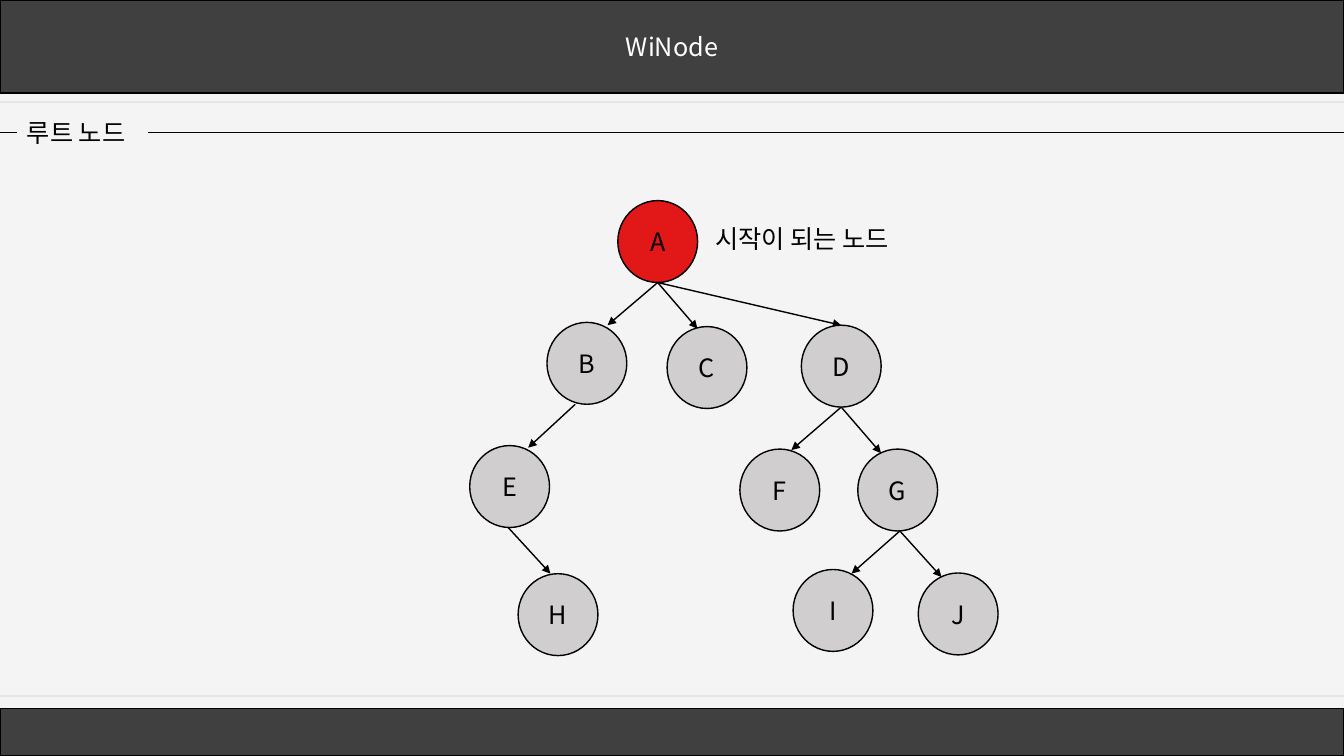
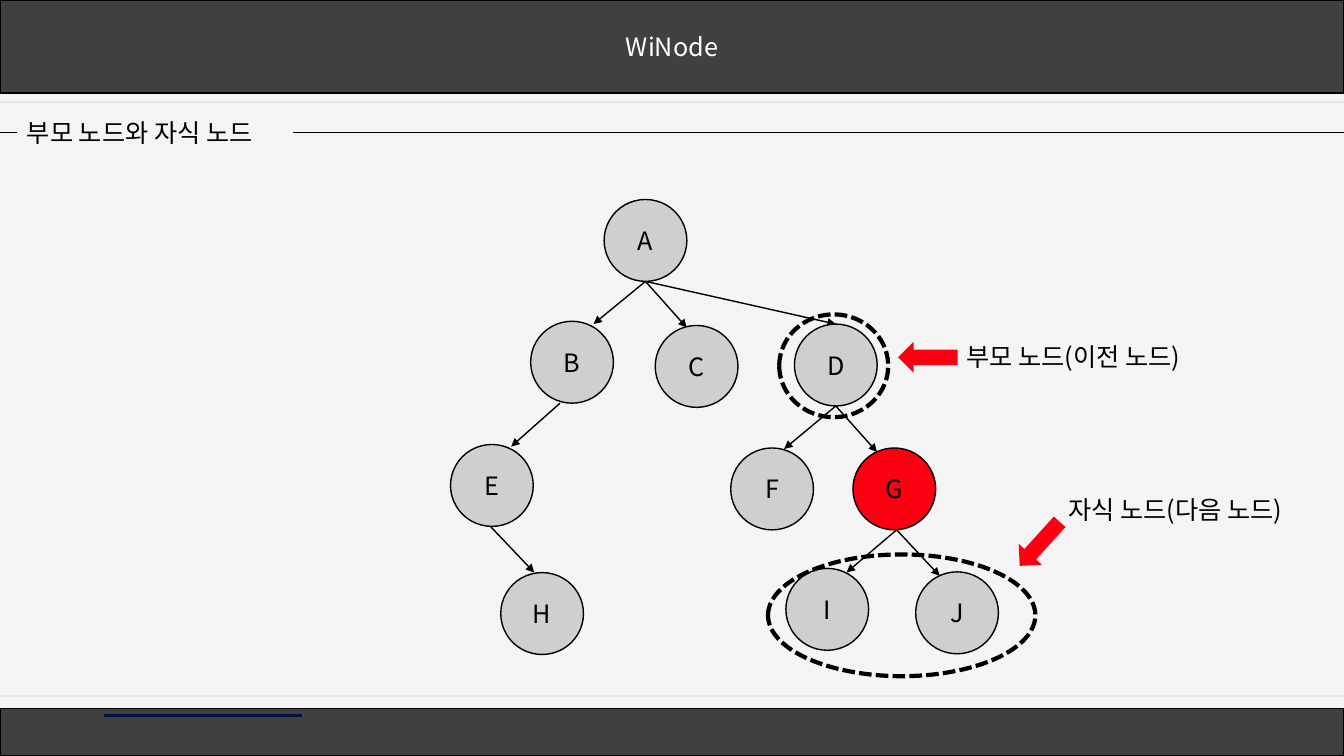
from dataclasses import dataclass

from lxml.etree import SubElement
from pptx import Presentation
from pptx.dml.color import RGBColor
from pptx.enum.dml import MSO_LINE
from pptx.enum.shapes import MSO_CONNECTOR, MSO_SHAPE
from pptx.enum.text import MSO_ANCHOR, MSO_AUTO_SIZE, PP_ALIGN
from pptx.oxml.ns import qn
from pptx.util import Pt


@dataclass(frozen=True)
class Theme:
    """Colours, type and line widths shared by the slides."""
    page: str = "F4F4F4"
    band: str = "404040"
    rule: str = "E7E6E6"
    ink: str = "000000"
    band_text: str = "FFFFFF"
    node: str = "D0CECE"
    root: str = "E21818"
    accent: str = "FB0010"
    footer_mark: str = "001545"
    font: str = "Noto Sans CJK KR"
    text_size: float = 18
    hairline: float = 0.5
    outline: float = 1
    rule_width: float = 1.5
    mark_width: float = 2
    ring_width: float = 3


THEME = Theme()
WIDTH, HEIGHT = 960, 540
HEADER_HEIGHT, FOOTER_TOP = 66.4, 506.2
HEADING_LEFT, HEADING_TOP, HEADING_RULE = 12.2, 79.9, 94.3
TEXT_HEIGHT = 29
NODE_WIDTH, NODE_HEIGHT = 57, 58.5

NODES = {
    "A": (105.8, 0), "B": (55.2, 87), "C": (141, 90), "D": (236.9, 89),
    "E": (0, 175), "F": (193, 177.5), "G": (277.2, 177.5),
    "H": (34.6, 266.5), "I": (231, 263.5), "J": (320.4, 266),
}
EDGES = [
    ("A", "B", 0, 14.8, 2), ("A", "C", 0, -6.8, 1.5), ("A", "D", 0, 0, 0),
    ("B", "E", -8.3, 13.3, 1.5), ("E", "H", -1, -5.4, 0),
    ("D", "F", 0, 8.3, 0.7), ("D", "G", 0, -11.9, 2.9),
    ("G", "I", 1.6, 13.3, 2.9), ("G", "J", 1.6, -11.9, 2.9),
]


def rgb(value):
    """Turn a hex string into a colour."""
    return RGBColor.from_string(value)


def assign(target, values):
    """Set each named attribute of the target."""
    for name, value in values.items():
        setattr(target, name, value)


def set_line(line, color, width, dash=None):
    """Style an outline or a connector."""
    line.fill.solid()
    line.fill.fore_color.rgb = rgb(color)
    assign(line, {"width": Pt(width), "dash_style": dash})


def write(frame, text, color=THEME.ink, align=PP_ALIGN.LEFT):
    """Write one styled line of text into a frame."""
    paragraph = frame.paragraphs[0]
    paragraph.alignment = align
    run = paragraph.add_run()
    run.text = text
    assign(run.font, {"name": THEME.font, "size": Pt(THEME.text_size)})
    run.font.color.rgb = rgb(color)
    SubElement(run._r.get_or_add_rPr(), qn("a:ea"), typeface=THEME.font)


def add_figure(shapes, preset, box, fill=None, outline=None, text=None, color=THEME.ink):
    """Add a preset shape, optionally filled, outlined and labelled."""
    figure = shapes.add_shape(preset, *map(Pt, box))
    figure.shadow.inherit = False
    if fill:
        figure.fill.solid()
        figure.fill.fore_color.rgb = rgb(fill)
    else:
        figure.fill.background()
    if outline:
        set_line(figure.line, *outline)
    else:
        figure.line.fill.background()
    if text:
        figure.text_frame.vertical_anchor = MSO_ANCHOR.MIDDLE
        write(figure.text_frame, text, color, PP_ALIGN.CENTER)
    return figure


def add_line(shapes, start, end, color=THEME.ink, width=THEME.outline, arrow=False):
    """Add a straight line with an optional arrowhead."""
    line = shapes.add_connector(MSO_CONNECTOR.STRAIGHT, *map(Pt, (*start, *end)))
    set_line(line.line, color, width)
    if arrow:
        SubElement(line.line._get_or_add_ln(), qn("a:tailEnd"), type="triangle")
    SubElement(line._element.spPr, qn("a:effectLst"))


def add_label(slide, left, top, width, text, wrap=True):
    """Add a text box that grows with its text."""
    label = slide.shapes.add_textbox(*map(Pt, (left, top, width, TEXT_HEIGHT)))
    assign(label.text_frame, {"word_wrap": wrap, "auto_size": MSO_AUTO_SIZE.SHAPE_TO_FIT_TEXT})
    write(label.text_frame, text)


def add_page(deck, heading, heading_width):
    """Add a slide with its bands, rules and heading."""
    slide = deck.slides.add_slide(deck.slide_layouts[6])
    slide.background.fill.solid()
    slide.background.fill.fore_color.rgb = rgb(THEME.page)
    border = (THEME.ink, THEME.outline)
    for top, height, text in (
        (0, HEADER_HEIGHT, "WiNode"),
        (FOOTER_TOP, HEIGHT - FOOTER_TOP, None),
    ):
        add_figure(slide.shapes, MSO_SHAPE.RECTANGLE, (0, top, WIDTH, height),
                   THEME.band, border, text, THEME.band_text)
    for y in (72.7, 497.3):
        add_line(slide.shapes, (0, y), (WIDTH, y), THEME.rule, THEME.rule_width)
    add_label(slide, HEADING_LEFT, HEADING_TOP, heading_width, heading, wrap=False)
    for start, end in ((0, HEADING_LEFT), (HEADING_LEFT + heading_width, WIDTH)):
        add_line(slide.shapes, (start, HEADING_RULE), (end, HEADING_RULE), width=THEME.hairline)
    return slide


def add_tree(slide, left, top, stretch, marked, mark_color):
    """Draw the node tree with one node marked in colour."""
    tree = slide.shapes.add_group_shape().shapes
    node_width = NODE_WIDTH * stretch

    def place(name, dx=0, dy=0):
        x, y = NODES[name]
        return left + (x + dx) * stretch, top + y + dy

    for parent, child, start_dx, end_dx, end_dy in EDGES:
        start = place(parent, NODE_WIDTH / 2 + start_dx, NODE_HEIGHT)
        end = place(child, NODE_WIDTH / 2 + end_dx, end_dy)
        add_line(tree, start, end, arrow=True)
    for name in NODES:
        fill = mark_color if name == marked else THEME.node
        add_figure(tree, MSO_SHAPE.OVAL, (*place(name), node_width, NODE_HEIGHT),
                   fill, (THEME.ink, THEME.outline), name)


def add_pointer(slide, left, top, rotation):
    """Add a red block arrow turned by an angle."""
    pointer = add_figure(slide.shapes, MSO_SHAPE.DOWN_ARROW, (left, top, 22.3, 42.5), THEME.accent)
    pointer.rotation = rotation


def add_ring(slide, box):
    """Add a dashed ring around a set of nodes."""
    add_figure(slide.shapes, MSO_SHAPE.OVAL, box,
               outline=(THEME.ink, THEME.ring_width, MSO_LINE.SQUARE_DOT))


def build_root_slide(deck):
    """Build the slide on the root node."""
    slide = add_page(deck, "루트 노드", 93.6)
    add_tree(slide, 335.5, 143.3, 1, "A", THEME.root)
    add_label(slide, 504, 156.2, 162, "시작이 되는 노드")


def build_family_slide(deck):
    """Build the slide on parent and child nodes."""
    slide = add_page(deck, "부모 노드와 자식 노드", 197.3)
    add_line(slide.shapes, (216, 511.2), (74.2, 511.2), THEME.footer_mark, THEME.mark_width)
    add_tree(slide, 321.8, 142.5, 1.037, "G", THEME.accent)
    for pointer, label in (
        ((651.6, 234, 90), (683.3, 240.5, 178.6, "부모 노드(이전 노드)")),
        ((731.5, 367.2, 42.2), (756, 349.2, 178.6, "자식 노드(다음 노드)")),
    ):
        add_pointer(slide, *pointer)
        add_label(slide, *label)
    for ring in ((556.6, 224.6, 77.8, 73.4), (548.6, 396, 191, 87)):
        add_ring(slide, ring)


def main():
    """Build and save the presentation."""
    deck = Presentation()
    assign(deck, {"slide_width": Pt(WIDTH), "slide_height": Pt(HEIGHT)})
    build_root_slide(deck)
    build_family_slide(deck)
    deck.save("out.pptx")


if __name__ == "__main__":
    main()
